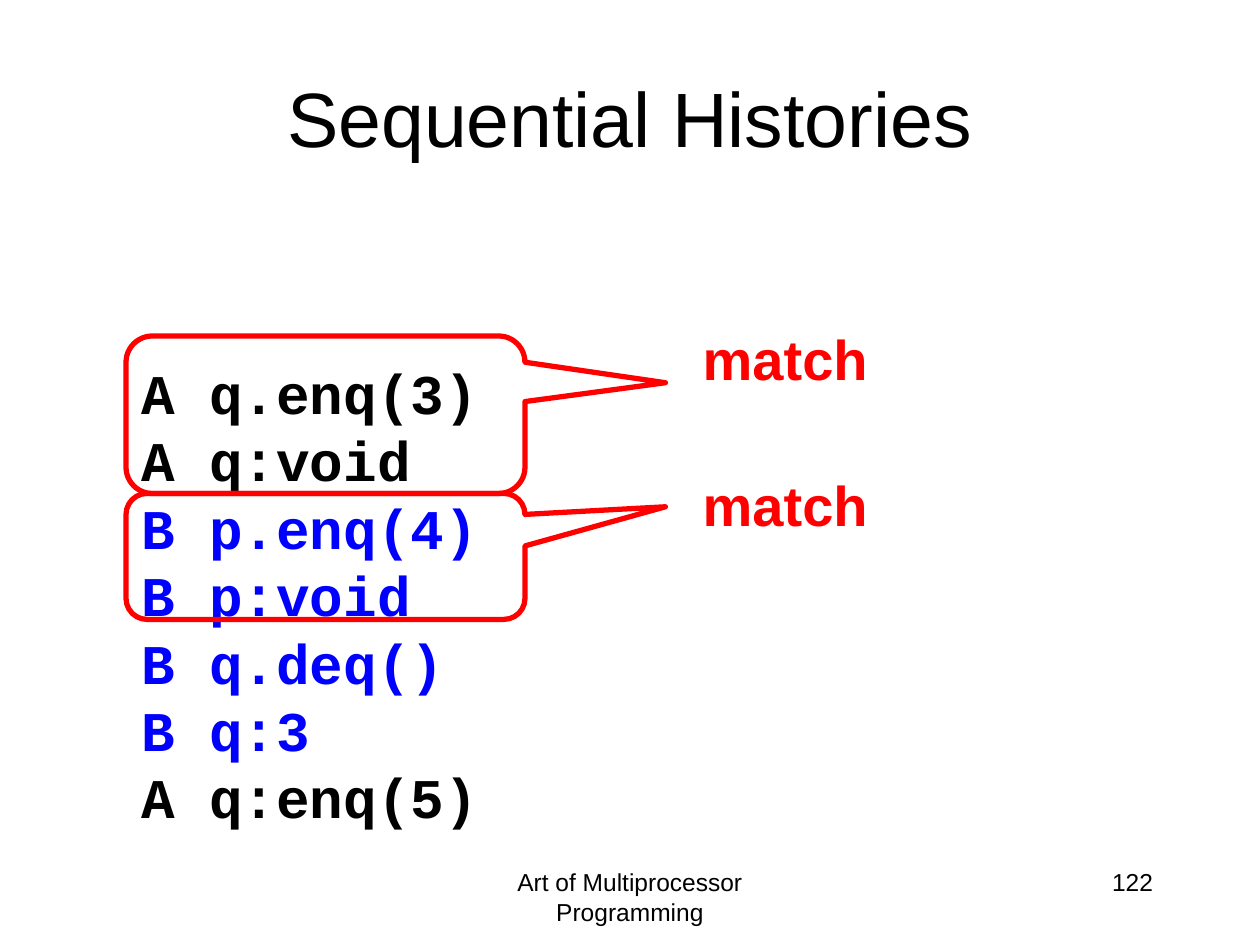
from pptx import Presentation
from pptx import util as u
from pptx.dml.color import RGBColor
from pptx.enum import shapes, text

BLACK, BLUE, RED = "000000", "0000FF", "FF0000"
LEFT, CENTER, RIGHT = text.PP_ALIGN.LEFT, text.PP_ALIGN.CENTER, text.PP_ALIGN.RIGHT
HISTORY = [
    ("A q.enq(3)", BLACK),
    ("A q:void", BLACK),
    ("B p.enq(4)", BLUE),
    ("B p:void", BLUE),
    ("B q.deq()", BLUE),
    ("B q:3", BLUE),
    ("A q:enq(5)", BLACK),
]
# Each row: callout top, callout height, pointer height, label top
MATCHES = [(192, 90, -0.203, 182), (282, 72, -0.394, 265)]
FOOTER = {"name": "Arial", "size": u.Pt(14), "bold": False}
LABEL = {"name": "Arial", "size": u.Pt(32), "bold": True}
CODE = {**LABEL, "name": "Courier New"}


def color(value):
    """Return the colour for a hex string."""
    return RGBColor.from_string(value)


def set_values(target, values):
    """Set each attribute in values on the target."""
    for name, value in values.items():
        setattr(target, name, value)


def fill_frame(frame, lines, font, align, spacing=None):
    """Write coloured lines into a text frame, one paragraph each."""
    for index, (words, hue) in enumerate(lines):
        paragraph = frame.add_paragraph() if index else frame.paragraphs[0]
        set_values(paragraph, {"alignment": align, "line_spacing": spacing})
        run = paragraph.add_run()
        run.text = words
        set_values(run.font, font)
        run.font.color.rgb = color(hue)


def add_text(parent, box, lines, font, align, spacing=None, wrap=True):
    """Add a text box to a slide or group and return its frame."""
    frame = parent.shapes.add_textbox(*map(u.Pt, box)).text_frame
    frame.word_wrap = wrap
    fill_frame(frame, lines, font, align, spacing)
    return frame


def add_title(slide, words):
    """Place and format the title."""
    title = slide.shapes.title
    sides = zip(("left", "top", "width", "height"), (36, 21.6, 648, 90))
    set_values(title, {side: u.Pt(length) for side, length in sides})
    title.text_frame.vertical_anchor = text.MSO_ANCHOR.MIDDLE
    font = {"name": "Arial", "size": u.Pt(44), "bold": False}
    fill_frame(title.text_frame, [(words, BLACK)], font, CENTER)


def add_match(slide, top, height, pointer, label_top):
    """Add a grouped callout outline and its label."""
    group = slide.shapes.add_group_shape()
    callout = group.shapes.add_shape(
        shapes.MSO_SHAPE.ROUNDED_RECTANGULAR_CALLOUT,
        *map(u.Pt, (72, top, 228, height)))
    for index, value in enumerate((0.852, pointer, 0.167)):
        callout.adjustments[index] = value
    callout.shadow.inherit = False
    callout.fill.background()
    callout.line.color.rgb = color(RED)
    callout.line.width = u.Pt(3)
    add_text(group, (394, label_top, 109, 46), [("match", RED)],
             LABEL, RIGHT, u.Pt(38.5), wrap=False)


def main():
    """Build and save the slide."""
    presentation = Presentation()
    set_values(presentation, {"slide_width": u.Pt(720), "slide_height": u.Pt(540)})
    slide = presentation.slides.add_slide(presentation.slide_layouts[5])
    add_text(slide, (246, 492, 228, 36),
             [("Art of Multiprocessor Programming", BLACK)], FOOTER, CENTER)
    add_text(slide, (516, 492, 150, 36), [("122", BLACK)], FOOTER, RIGHT)
    add_title(slide, "Sequential Histories")
    frame = add_text(slide, (74, 198, 220, 279), HISTORY, CODE, LEFT, u.Pt(38.5))
    set_values(frame, {"margin_top": u.Pt(6.8), "margin_bottom": u.Pt(2)})
    for match in MATCHES:
        add_match(slide, *match)
    presentation.save("out.pptx")


if __name__ == "__main__":
    main()
